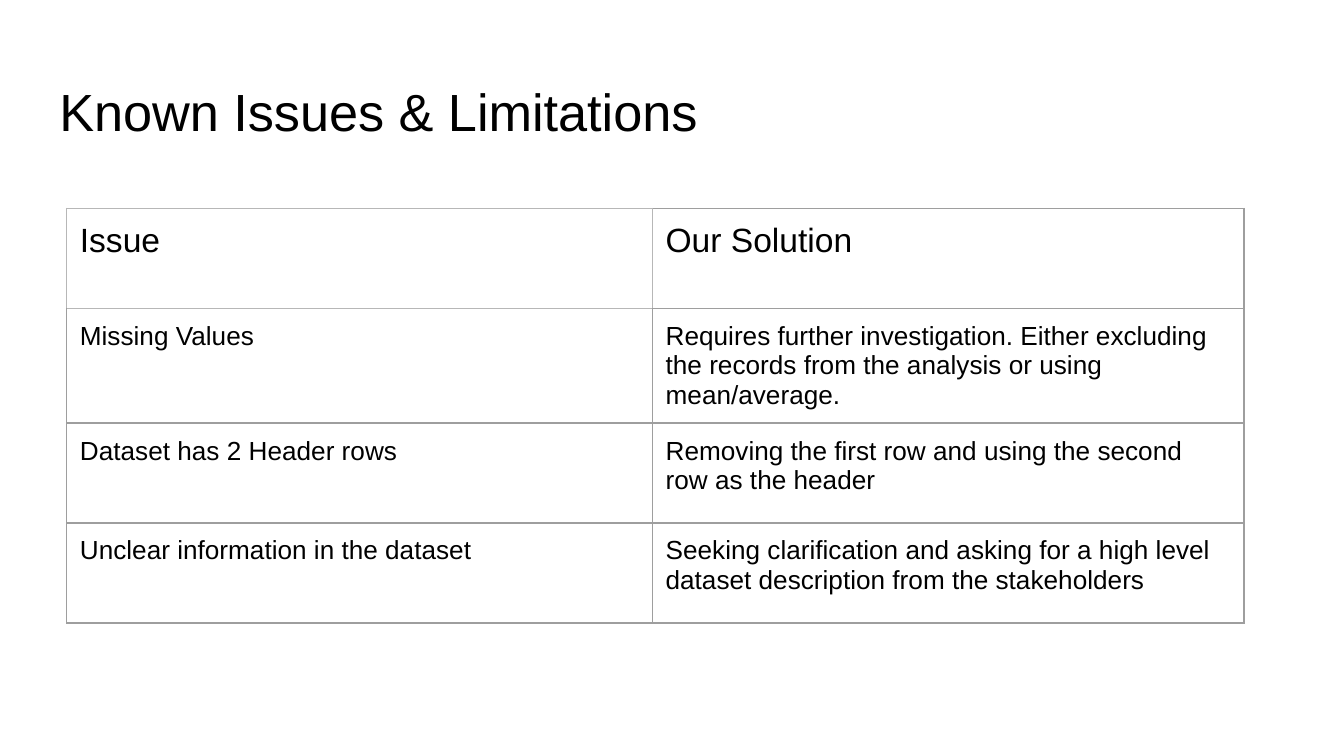
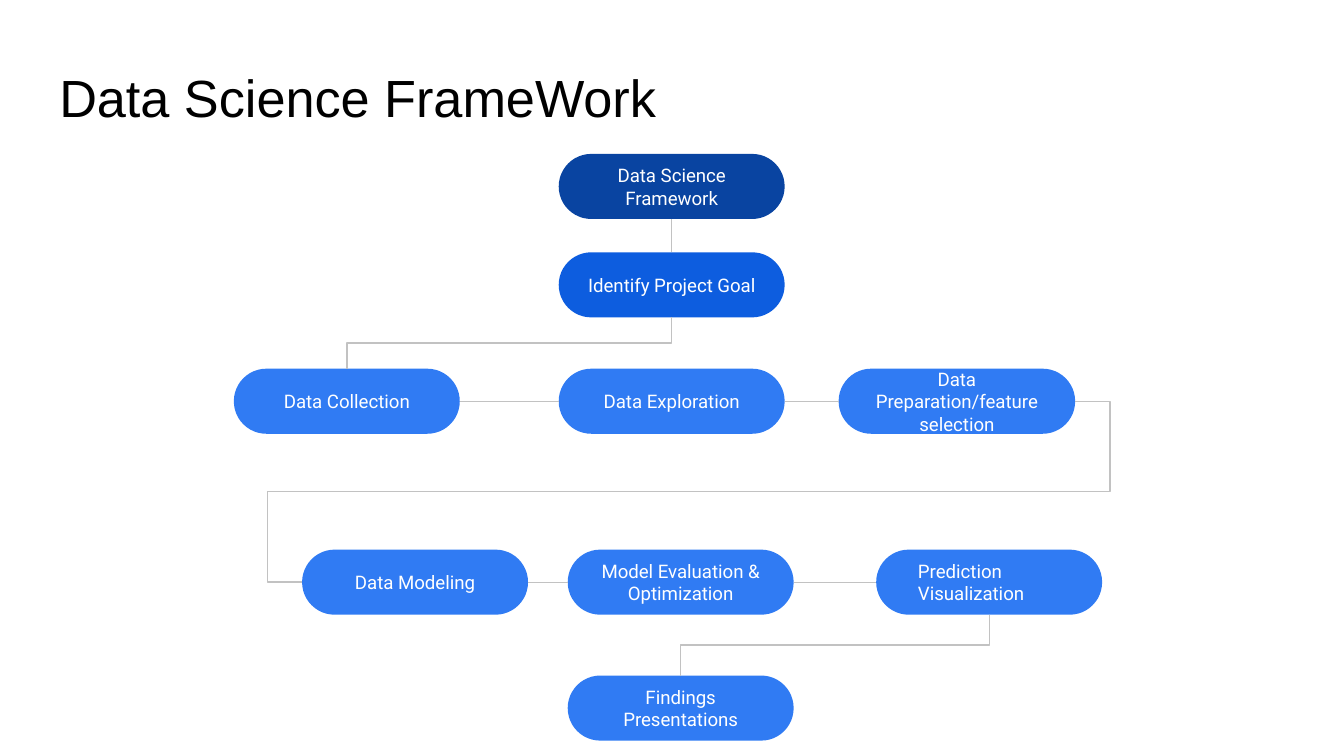
"""Build two slides: known data issues and the data science framework."""
from dataclasses import dataclass

from lxml.etree import SubElement
from pptx import Presentation
from pptx.dml.color import RGBColor as Rgb
from pptx.enum.shapes import MSO_CONNECTOR as Link, MSO_SHAPE as Preset
from pptx.enum.text import MSO_ANCHOR as Anchor, MSO_AUTO_SIZE as AutoSize, PP_ALIGN as Align
from pptx.oxml.ns import qn
from pptx.util import Cm, Pt


@dataclass(frozen=True)
class Theme:
    text_font: str = "Arial"
    node_font: str = "Roboto"
    black: str = "000000"
    white: str = "FFFFFF"
    root_blue: str = "0944A1"
    goal_blue: str = "0D5DDF"
    step_blue: str = "307BF3"
    link_grey: str = "C2C2C2"
    border_grey: str = "9E9E9E"
    light_border: str = "B7B7B7"
    title_size: float = 28
    header_size: float = 18
    body_size: float = 14
    node_size: float = 10
    line_width: float = 0.75
    margin: float = 0.25


theme = Theme()


def add_text(para, text, font, size, color):
    """Add one formatted run to a paragraph."""
    span = para.add_run()
    span.text = text
    span.font.name = font
    span.font.size = Pt(size)
    span.font.bold = False
    span.font.color.rgb = Rgb.from_string(color)


def add_titled_page(deck, text, top):
    """Add a page with its title placed at the given height."""
    page = deck.slides.add_slide(deck.slide_layouts[5])
    title = page.shapes.title
    title.left, title.top, title.width, title.height = Cm(0.87), Cm(top), Cm(23.67), Cm(1.59)
    frame = title.text_frame
    frame.auto_size = AutoSize.NONE
    frame.word_wrap = True
    frame.vertical_anchor = Anchor.TOP
    frame.margin_left = frame.margin_right = Cm(theme.margin)
    frame.margin_top = frame.margin_bottom = Cm(theme.margin)
    para = frame.paragraphs[0]
    para.alignment = Align.LEFT
    add_text(para, text, theme.text_font, theme.title_size, theme.black)
    return page


deck = Presentation()
deck.slide_width, deck.slide_height = Cm(25.4), Cm(14.29)

page = add_titled_page(deck, "Known Issues & Limitations", 1.24)
issues = [
    ("Issue", "Our Solution"),
    ("Missing Values",
     "Requires further investigation. Either excluding the records from the analysis "
     "or using mean/average."),
    ("Dataset has 2 Header rows",
     "Removing the first row and using the second row as the header"),
    ("Unclear information in the dataset",
     "Seeking clarification and asking for a high level dataset description from the "
     "stakeholders"),
]
column_widths = [11.07, 11.18]
row_height = 1.89
table = page.shapes.add_table(
    len(issues), len(column_widths), Cm(1.26), Cm(3.94),
    Cm(sum(column_widths)), Cm(row_height * len(issues))).table
table.first_row = table.horz_banding = False
for column, width in zip(table.columns, column_widths):
    column.width = Cm(width)
light_edges = {(0, 0): "LRTB", (0, 1): "L", (1, 0): "T"}
for row_index, texts in enumerate(issues):
    table.rows[row_index].height = Cm(row_height)
    for column_index, text in enumerate(texts):
        cell = table.cell(row_index, column_index)
        cell.margin_left = cell.margin_right = Cm(theme.margin)
        cell.margin_top = cell.margin_bottom = Cm(theme.margin)
        size = theme.body_size if row_index else theme.header_size
        add_text(cell.text_frame.paragraphs[0], text, theme.text_font, size, theme.black)
        properties = cell._tc.get_or_add_tcPr()
        for edge in "LRTB":
            is_light = edge in light_edges.get((row_index, column_index), "")
            color = theme.light_border if is_light else theme.border_grey
            border = SubElement(properties, qn(f"a:ln{edge}"), w=str(Pt(theme.line_width)))
            SubElement(SubElement(border, qn("a:solidFill")), qn("a:srgbClr"), val=color)
        cell.fill.background()

page = add_titled_page(deck, "Data Science FrameWork", 0.99)
node_width, node_height = 4.27, 1.23
nodes = [
    ("root", ["Data Science Framework"], 10.56, 2.91, node_width, theme.root_blue),
    ("goal", ["Identify Project Goal"], 10.56, 4.77, node_width, theme.goal_blue),
    ("collection", ["Data Collection"], 4.42, 6.97, node_width, theme.step_blue),
    ("exploration", ["Data Exploration"], 10.56, 6.97, node_width, theme.step_blue),
    ("preparation", ["Data Preparation/feature selection"], 15.85, 6.97, 4.47, theme.step_blue),
    ("modeling", ["Data Modeling"], 5.71, 10.39, node_width, theme.step_blue),
    ("evaluation", ["Model Evaluation & Optimization"], 10.73, 10.39, node_width, theme.step_blue),
    ("prediction", ["Prediction", "Visualization"], 16.56, 10.39, node_width, theme.step_blue),
    ("findings", ["Findings Presentations"], 10.73, 12.77, node_width, theme.step_blue),
]
boxes = {}
for name, lines, left, top, width, color in nodes:
    box = page.shapes.add_shape(
        Preset.ROUNDED_RECTANGLE, Cm(left), Cm(top), Cm(width), Cm(node_height))
    box.adjustments[0] = 0.5
    box.shadow.inherit = False
    box.fill.solid()
    box.fill.fore_color.rgb = Rgb.from_string(color)
    box.line.fill.background()
    frame = box.text_frame
    frame.word_wrap = True
    frame.vertical_anchor = Anchor.MIDDLE
    frame.margin_left = frame.margin_right = Cm(theme.margin)
    frame.margin_top = frame.margin_bottom = Cm(theme.margin)
    for index, line in enumerate(lines):
        para = frame.add_paragraph() if index else frame.paragraphs[0]
        para.alignment = Align.CENTER if len(lines) == 1 else Align.LEFT
        if len(lines) > 1:
            para._p.get_or_add_pPr().set("marL", str(Cm(0.36)))
        add_text(para, line, theme.node_font, theme.node_size, theme.white)
    boxes[name] = box

left_site, bottom_site, right_site, top_site = 1, 2, 3, 0
links = [
    ("root", "goal", "down"),
    ("goal", "collection", "down"),
    ("collection", "exploration", "across"),
    ("exploration", "preparation", "across"),
    ("preparation", "modeling", "wrap"),
    ("modeling", "evaluation", "across"),
    ("evaluation", "prediction", "across"),
    ("prediction", "findings", "down"),
]
for start, end, route in links:
    link = page.shapes.add_connector(Link.ELBOW, 0, 0, 0, 0)
    link.begin_connect(boxes[start], bottom_site if route == "down" else right_site)
    link.end_connect(boxes[end], top_site if route == "down" else left_site)
    link.line.color.rgb = Rgb.from_string(theme.link_grey)
    link.line.width = Pt(theme.line_width)
    properties = link._element.spPr
    SubElement(properties, qn("a:effectLst"))
    if route == "down":
        run, drop = link.width, link.height
        middle_x, middle_y = link.left + run // 2, link.top + drop // 2
        link.left, link.top = middle_x - drop // 2, middle_y - run // 2
        link.width, link.height = drop, run
        transform = properties.find(qn("a:xfrm"))
        transform.attrib.pop("flipH", None)
        transform.set("rot", str(90 * 60000))
    elif route == "wrap":
        geometry = properties.find(qn("a:prstGeom"))
        geometry.set("prst", "bentConnector5")
        guides = geometry.find(qn("a:avLst"))
        for number, share in enumerate((-4500, 50000, 104500), start=1):
            SubElement(guides, qn("a:gd"), name=f"adj{number}", fmla=f"val {share}")

deck.save("out.pptx")
